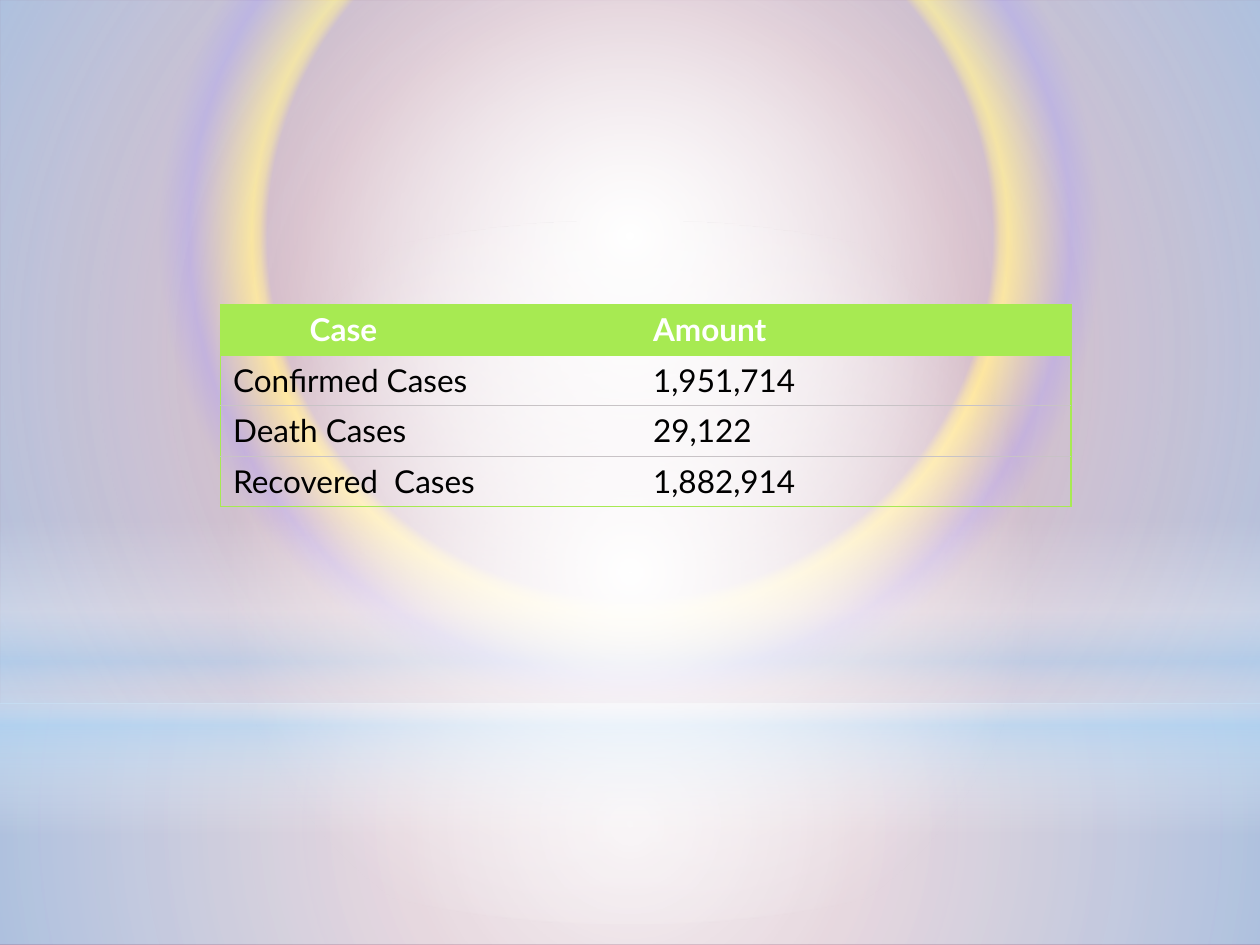
from lxml.etree import SubElement
from pptx import Presentation
from pptx.dml.color import RGBColor
from pptx.enum.shapes import MSO_SHAPE
from pptx.oxml import parse_xml
from pptx.oxml.ns import nsdecls, qn
from pptx.util import Pt

WIDTH, HEIGHT, HORIZON = 720, 540, 402
GREEN, RULE = "A7EA52", "C8C3C6"
CENTER = (50, 50, 50, 50)
PLAIN_TABLE = "{2D5ABB26-0587-4C30-8999-92F81FD0307C}"


def rgb(value):
    """Turn a hex string into a colour."""
    return RGBColor.from_string(value)


def set_gradient(element, stops, focus=None, angle=90):
    """Fill in the gradient below element: circular with a focus, else linear."""
    grad = element.find(".//" + qn("a:gradFill"))
    for child in list(grad):
        grad.remove(child)
    stop_list = SubElement(grad, qn("a:gsLst"))
    for position, color, opacity in stops:
        gs = SubElement(stop_list, qn("a:gs"), pos=str(position * 1000))
        clr = SubElement(gs, qn("a:srgbClr"), val=color)
        if opacity < 100:
            SubElement(clr, qn("a:alpha"), val=str(opacity * 1000))
    if focus:
        circle = SubElement(grad, qn("a:path"), {"path": "circle"})
        sides = {k: str(v * 1000) for k, v in zip("ltrb", focus)}
        SubElement(circle, qn("a:fillToRect"), sides)
    else:
        SubElement(grad, qn("a:lin"), ang=str(angle * 60000), scaled="0")


def set_borders(cell, borders):
    """Draw cell borders given as {side: (colour, width)}."""
    tcPr = cell._tc.get_or_add_tcPr()
    sides = [side for side in "LRTB" if side in borders]
    for index, side in enumerate(sides):
        color, width = borders[side]
        tcPr.insert(index, parse_xml(
            f'<a:ln{side} {nsdecls("a")} w="{Pt(width)}"><a:solidFill>'
            f'<a:srgbClr val="{color}"/></a:solidFill></a:ln{side}>'))


class SlideBuilder:
    """Holds the text style and the current slide."""

    font, size = "Lato", 18

    def __init__(self, prs):
        """Start a blank slide."""
        self.slide = prs.slides.add_slide(prs.slide_layouts[6])

    def background(self, stops, focus):
        """Give the slide a gradient background."""
        self.slide.background.fill.gradient()
        set_gradient(self.slide._element, stops, focus)

    def glow(self, kind, top, height, stops, focus=None):
        """Add a full-width translucent gradient shape."""
        sp = self.slide.shapes.add_shape(kind, 0, Pt(top), Pt(WIDTH), Pt(height))
        sp.shadow.inherit = False
        sp.line.fill.background()
        sp.fill.gradient()
        set_gradient(sp._element.spPr, stops, focus)

    def cell(self, cell, text, header):
        """Write and style one table cell."""
        cell.text = text
        if header:
            cell.fill.solid()
            cell.fill.fore_color.rgb = rgb(GREEN)
        else:
            cell.fill.background()
        font = cell.text_frame.paragraphs[0].runs[0].font
        font.name, font.size, font.bold = self.font, Pt(self.size), header
        font.color.rgb = rgb("FFFFFF" if header else "000000")

    def table(self, left, top, widths, row_height, rows):
        """Add a table with a green header and frame and thin row rules."""
        frame = self.slide.shapes.add_table(
            len(rows), len(widths), Pt(left), Pt(top),
            Pt(sum(widths)), Pt(row_height * len(rows)))
        table = frame.table
        table.first_row = True
        table.horz_banding = False
        table._tbl.tblPr.find(qn("a:tableStyleId")).text = PLAIN_TABLE
        for column, width in zip(table.columns, widths):
            column.width = Pt(width)
        edge, rule = (GREEN, 0.75), (RULE, 0.25)
        last_row, last_col = len(rows) - 1, len(widths) - 1
        for i, row in enumerate(rows):
            table.rows[i].height = Pt(row_height)
            for j, text in enumerate(row):
                cell = table.cell(i, j)
                self.cell(cell, text, i == 0)
                borders = {"T": edge if i < 2 else rule,
                           "B": edge if i in (0, last_row) else rule}
                if j == 0:
                    borders["L"] = edge
                if j == last_col:
                    borders["R"] = edge
                set_borders(cell, borders)
        return table


prs = Presentation()
prs.slide_width, prs.slide_height = Pt(WIDTH), Pt(HEIGHT)
s = SlideBuilder(prs)

s.background([(0, "FFFFFF", 100), (46, "975775", 100), (47, "DE9F25", 100),
              (48, "FFC000", 100), (56, "7030A0", 100), (60, "975775", 100)],
             (20, 10, 20, 60))
s.glow(MSO_SHAPE.RECTANGLE, HORIZON, HEIGHT - HORIZON,
       [(0, "FFFFFF", 91), (37, "FFFFFF", 76), (100, "B4DCFA", 79)], CENTER)
s.glow(MSO_SHAPE.RECTANGLE, 0, HORIZON,
       [(0, "FFFFFF", 89), (48, "FFFFFF", 62), (100, "B4DCFA", 79)], CENTER)
s.glow(MSO_SHAPE.RECTANGLE, 297, 180,
       [(0, "FFFFFF", 0), (29, "FFFFFF", 30), (45, "B4DCFA", 40),
        (55, "FFFFFF", 26), (65, "B4DCFA", 60), (100, "FFFFFF", 0)])
s.glow(MSO_SHAPE.OVAL, 126, HORIZON,
       [(0, "FFFFFF", 100), (56, "FFFFFF", 0)], CENTER)

cases = s.table(126, 174, [240, 246], 28.8, [
    ("Case", "Amount"),
    ("Confirmed Cases", "1,951,714"),
    ("Death Cases", "29,122"),
    ("Recovered  Cases", "1,882,914"),
])
cases.cell(0, 0).margin_left = Pt(51)

prs.save("out.pptx")
